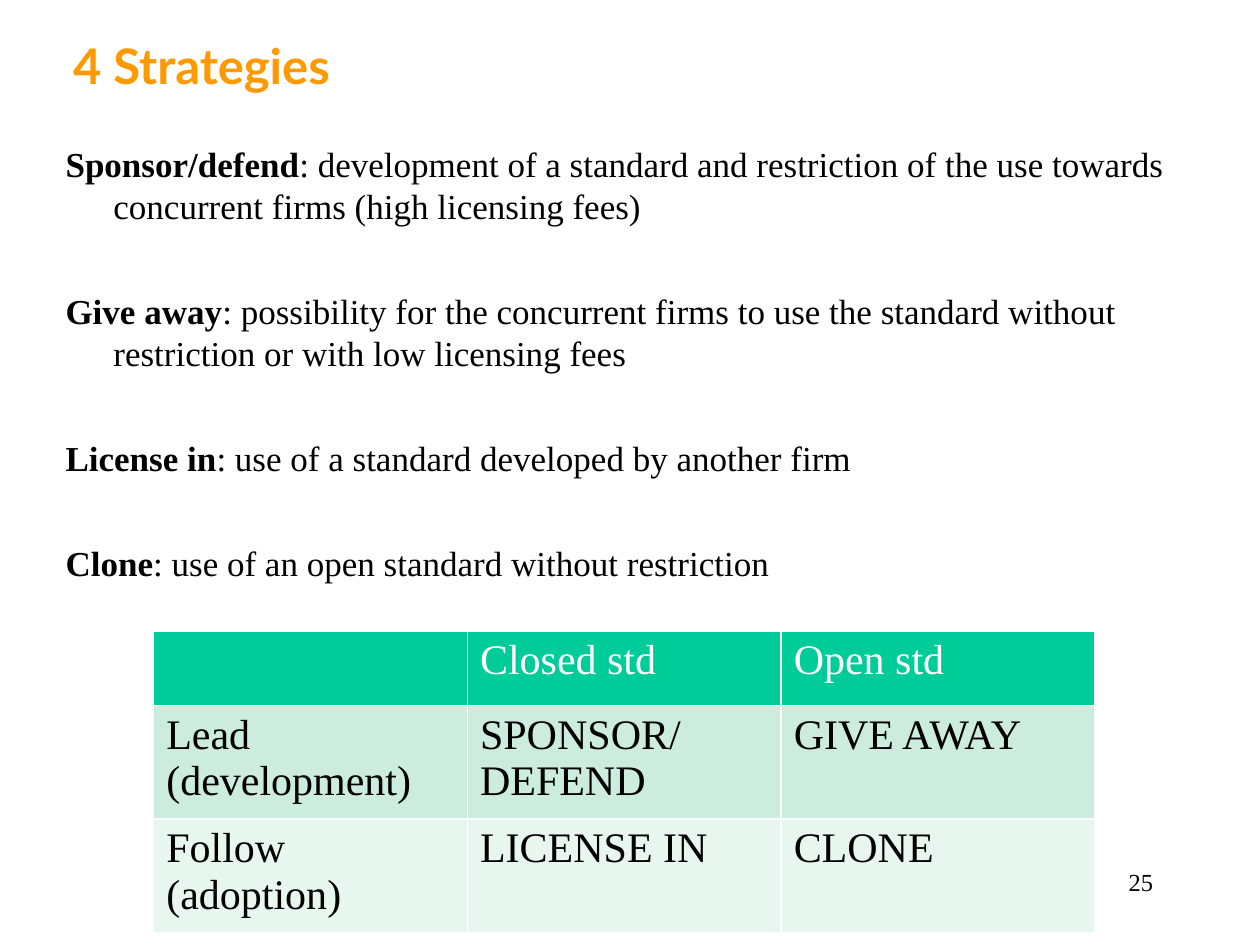
import pptx
import pptx.util
import pptx.dml.color
import pptx.enum.text
import pptx.oxml
import pptx.oxml.ns

Inches = pptx.util.Inches
Pt = pptx.util.Pt
RGBColor = pptx.dml.color.RGBColor
Align = pptx.enum.text.PP_ALIGN
Anchor = pptx.enum.text.MSO_ANCHOR

BLACK = RGBColor(0x00, 0x00, 0x00)
WHITE = RGBColor(0xFF, 0xFF, 0xFF)
ORANGE = RGBColor(0xFF, 0x99, 0x00)
GREEN = RGBColor(0x00, 0xCC, 0x99)
MINT = RGBColor(0xCC, 0xEC, 0xDE)
PALE = RGBColor(0xE7, 0xF6, 0xEF)
SERIF = "Times New Roman"

TITLE = "4 Strategies"
NUMBER = "25"
TERMS = [
    ("Sponsor/defend", ": development of a standard and restriction of the use towards concurrent firms (high licensing fees)"),
    ("Give away", ": possibility for the concurrent firms to use the standard without restriction or with low licensing fees"),
    ("License in", ": use of a standard developed by another firm"),
    ("Clone", ": use of an open standard without restriction"),
]
ROWS = [
    (0.59, GREEN, WHITE, ["", "Closed std", "Open std"]),
    (0.9, MINT, BLACK, ["Lead (development)", "SPONSOR/DEFEND", "GIVE AWAY"]),
    (0.9, PALE, BLACK, ["Follow (adoption)", "LICENSE IN", "CLONE"]),
]
WIDTH = 2.49


def place(shape, left, top, width, height):
    shape.left, shape.top = Inches(left), Inches(top)
    shape.width, shape.height = Inches(width), Inches(height)


def style(run, size, color, bold=False, name=SERIF):
    run.font.name = name
    run.font.size = Pt(size)
    run.font.bold = bold
    run.font.color.rgb = color


def edge(cell):
    props = cell._tc.get_or_add_tcPr()
    for side in "LRTB":
        props.append(pptx.oxml.parse_xml(
            f'<a:ln{side} {pptx.oxml.ns.nsdecls("a")} w="{Pt(1)}"><a:solidFill>'
            f'<a:srgbClr val="{WHITE}"/></a:solidFill></a:ln{side}>'))


def add_title(slide):
    title = slide.shapes.title
    place(title, 0.39, 0.23, 5.75, 0.57)
    frame = title.text_frame
    frame.text = TITLE
    frame.margin_left = Inches(0.19)
    frame.vertical_anchor = Anchor.MIDDLE
    frame.paragraphs[0].alignment = Align.LEFT
    style(frame.paragraphs[0].runs[0], 28, ORANGE, True, "Lato")


def add_terms(slide):
    body = slide.placeholders[1]
    place(body, 0.42, 1.08, 9, 3.64)
    frame = body.text_frame
    frame.auto_size = pptx.enum.text.MSO_AUTO_SIZE.NONE
    for index, (term, text) in enumerate(TERMS):
        para = frame.add_paragraph() if index else frame.paragraphs[0]
        para.line_spacing = Pt(24)
        para.space_before = Pt(0)
        para.space_after = Pt(36)
        props = para._p.get_or_add_pPr()
        props.set("marL", str(Inches(0.38)))
        props.set("indent", str(-Inches(0.38)))
        props.append(pptx.oxml.parse_xml(f'<a:buNone {pptx.oxml.ns.nsdecls("a")}/>'))
        for part, bold in ((term, True), (text, False)):
            run = para.add_run()
            run.text = part
            style(run, 20, BLACK, bold)


def add_number(slide):
    box = slide.shapes.add_textbox(Inches(7.17), Inches(6.83), Inches(2.08), Inches(0.5))
    frame = box.text_frame
    frame.word_wrap = True
    frame.text = NUMBER
    frame.paragraphs[0].alignment = Align.RIGHT
    style(frame.paragraphs[0].runs[0], 14, BLACK)


def add_grid(slide):
    count = len(ROWS[0][3])
    high = sum(row[0] for row in ROWS)
    table = slide.shapes.add_table(
        len(ROWS), count, Inches(1.22), Inches(5.01),
        Inches(WIDTH * count), Inches(high)).table
    for col in table.columns:
        col.width = Inches(WIDTH)
    for row, (height, fill, ink, texts) in zip(table.rows, ROWS):
        row.height = Inches(height)
        for cell, text in zip(row.cells, texts):
            edge(cell)
            cell.fill.solid()
            cell.fill.fore_color.rgb = fill
            cell.text_frame.text = text
            for run in cell.text_frame.paragraphs[0].runs:
                style(run, 24, ink)


def main():
    deck = pptx.Presentation()
    deck.slide_width, deck.slide_height = Inches(10), Inches(7.5)
    slide = deck.slides.add_slide(deck.slide_layouts[1])
    add_title(slide)
    add_terms(slide)
    add_number(slide)
    add_grid(slide)
    deck.save("out.pptx")


if __name__ == "__main__":
    main()
